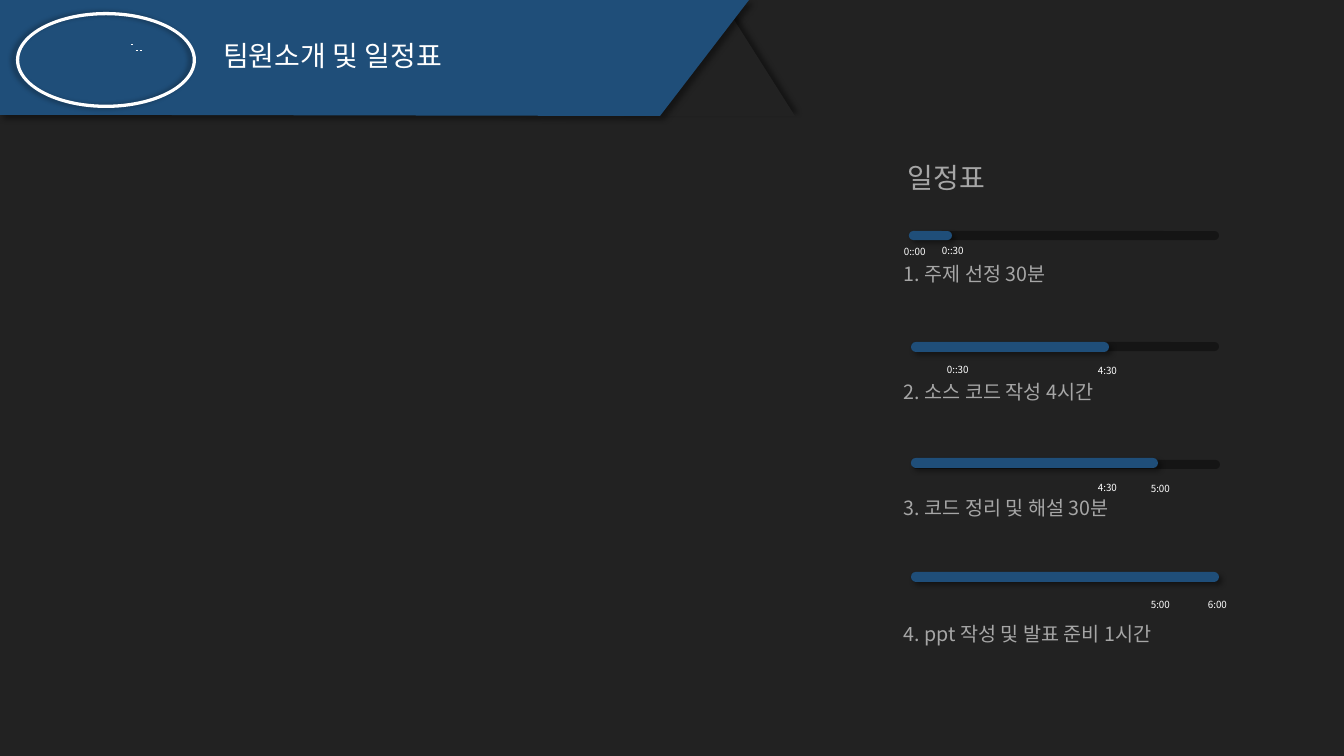
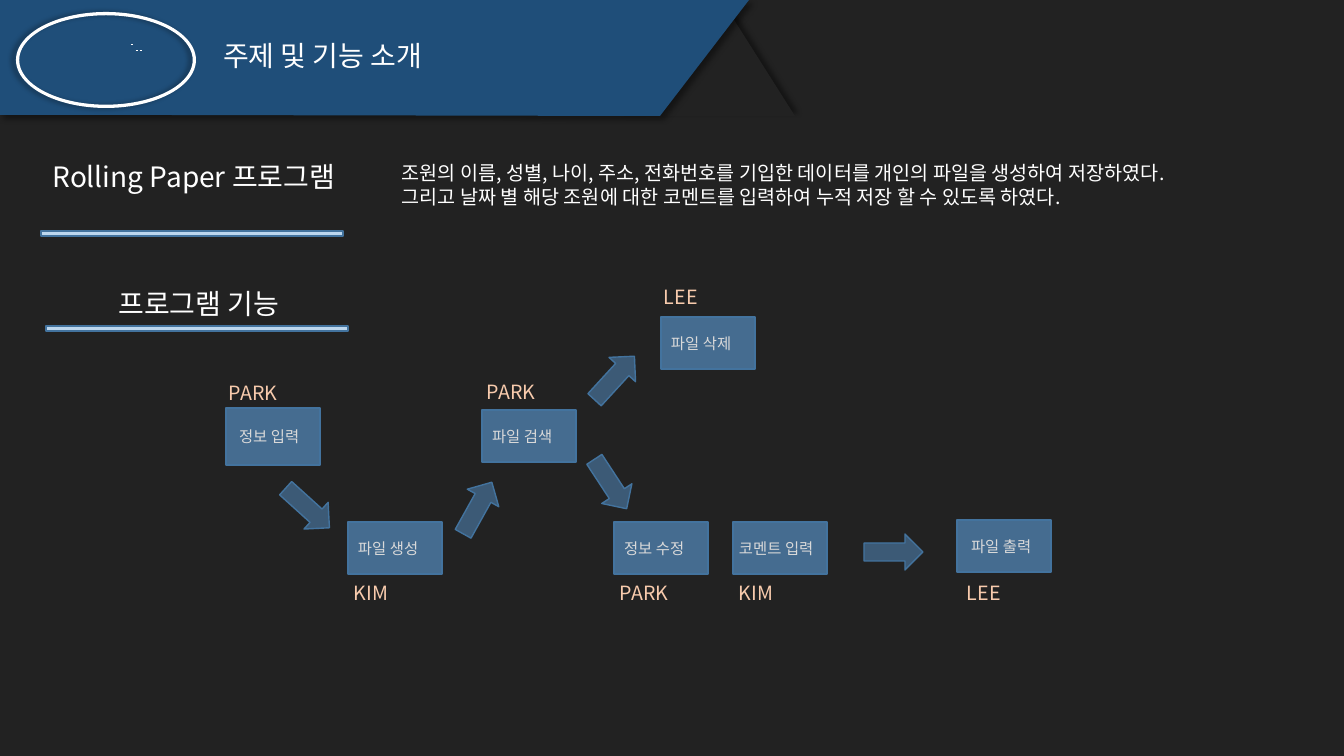
import pptx
import pptx.util
import pptx.dml.color
import pptx.enum.shapes
import pptx.enum.text
import pptx.oxml
import pptx.oxml.ns
from lxml import etree

SCALE = 914400 / 100.8
FONT = "Noto Sans CJK KR"
DARK, NAVY, TRACK, WHITE, GREY = "222222", "1F4E79", "151515", "FFFFFF", "A6A6A6"
BLUE, EDGE, PALE, PEACH, SILVER = "5B9BD5", "43739E", "BDD7EE", "F8CBAD", "D9D9D9"

SHAPE = pptx.enum.shapes.MSO_SHAPE
ANCHOR = pptx.enum.text.MSO_ANCHOR
ALIGN = pptx.enum.text.PP_ALIGN
FIT = pptx.enum.text.MSO_AUTO_SIZE
qn = pptx.oxml.ns.qn

# label, label top, track (left, top), done bar (left, top, width, height), time marks
STEPS = [
    ("1. 주제 선정 30분", 257, (911, 231), (909, 231, 43, 9),
     [(894, 241, "0::00"), (932, 240, "0::30")]),
    ("2. 소스 코드 작성 4시간", 375, (911, 342), (911, 342, 198, 10),
     [(937, 359, "0::30"), (1088, 360, "4:30")]),
    ("3. 코드 정리 및 해설 30분", 491, (912, 460), (911, 458, 247, 10),
     [(1088, 477, "4:30"), (1141, 478, "5:00")]),
    ("4. ppt 작성 및 발표 준비 1시간", 617, (911, 573), (911, 572, 308, 10),
     [(1141, 594, "5:00"), (1198, 594, "6:00")]),
]

# function, box (left, top, height), text inset, author, author (left, top)
FUNCTIONS = [
    ("정보 입력", (226, 408, 57), 13, "PARK", (219, 376)),
    ("파일 생성", (348, 522, 52), 10, "KIM", (344, 576)),
    ("파일 검색", (482, 410, 52), 10, "PARK", (477, 375)),
    ("파일 삭제", (661, 317, 52), 10, "LEE", (654, 280)),
    ("정보 수정", (614, 522, 52), 10, "PARK", (610, 576)),
    ("코멘트 입력", (733, 522, 52), 6, "KIM", (729, 576)),
    ("파일 출력", (957, 520, 52), 14, "LEE", (957, 576)),
]

# left, top, rotation
ARROWS = [(278, 490, 42.1), (448, 490, 299.1), (581, 466, 56.8),
          (864, 534, 0), (585, 360, 312.5)]


def px(n):
    return pptx.util.Emu(round(n * SCALE))


def rgb(value):
    return pptx.dml.color.RGBColor.from_string(value)


def write(tf, text, size, color, align=ALIGN.LEFT, anchor=ANCHOR.TOP, fit=FIT.NONE):
    """Fill a text frame, one paragraph for each line of text."""
    tf.word_wrap = True
    tf.auto_size = fit
    tf.vertical_anchor = anchor
    for i, line in enumerate(text.split("\n")):
        p = tf.paragraphs[0] if i == 0 else tf.add_paragraph()
        p.alignment = align
        r = p.add_run()
        r.text = line
        r.font.size = pptx.util.Pt(size)
        r.font.color.rgb = rgb(color)
        r.font.name = FONT
        etree.SubElement(r.font._element, qn("a:ea")).set("typeface", FONT)


def add_text(s, x, y, w, h, text, size, color, **fmt):
    tb = s.shapes.add_textbox(px(x), px(y), px(w), px(h))
    write(tb.text_frame, text, size, color, fit=FIT.SHAPE_TO_FIT_TEXT, **fmt)


def paint(sp, fill, line=None, alpha=None, shadow=None):
    """Set fill, outline and opacity (percent); shadow is its angle in degrees."""
    sp.fill.solid()
    sp.fill.fore_color.rgb = rgb(fill)
    if line:
        sp.line.color.rgb = rgb(line)
        sp.line.width = pptx.util.Pt(1)
    else:
        sp.line.fill.background()
    sp.shadow.inherit = False
    spPr = sp._element.spPr
    if alpha:
        clr = spPr.find(qn("a:solidFill")).find(qn("a:srgbClr"))
        etree.SubElement(clr, qn("a:alpha")).set("val", str(alpha * 1000))
    if shadow is not None:
        outer = etree.SubElement(spPr.find(qn("a:effectLst")), qn("a:outerShdw"),
                                 blurRad=str(pptx.util.Pt(4)), dist=str(pptx.util.Pt(3)),
                                 dir=str(shadow * 60000), algn="ctr", rotWithShape="0")
        clr = etree.SubElement(outer, qn("a:srgbClr"), val="000000")
        etree.SubElement(clr, qn("a:alpha"), val="40000")


def add_shape(s, kind, x, y, w, h, fill, adj=None, **look):
    sp = s.shapes.add_shape(kind, px(x), px(y), px(w), px(h))
    if adj is not None:
        sp.adjustments[0] = adj
    paint(sp, fill, **look)
    return sp


def add_slide(prs, title):
    """Slide with the shared header band, emblem ring and title."""
    s = prs.slides.add_slide(prs.slide_layouts[5])
    add_shape(s, SHAPE.ISOSCELES_TRIANGLE, 662, 11, 133, 105, DARK, shadow=315)
    band = s.shapes.build_freeform(0, 0, scale=SCALE)
    band.add_line_segments([(749, 0), (660, 116), (156, 115), (0, 115)])
    paint(band.convert_to_shape(), NAVY, shadow=45)
    for x, y in [(131, 44), (136, 50), (140, 50)]:
        add_shape(s, SHAPE.OVAL, x, y, 2, 1, WHITE)
    add_shape(s, SHAPE.DONUT, 16, 12, 180, 96, WHITE, adj=0.034, shadow=180)

    # The title goes in front of the band
    head = s.shapes.title
    head.left, head.top, head.width, head.height = px(213), px(33), px(266), px(44)
    write(head.text_frame, title, 20, WHITE)
    s.shapes.element.append(head.element)
    return s


def add_step(s, label, label_y, track, done, marks):
    add_shape(s, SHAPE.ROUNDED_RECTANGLE, *track, 308, 9, TRACK, adj=0.488)
    add_shape(s, SHAPE.ROUNDED_RECTANGLE, *done, NAVY, adj=0.488, shadow=45)
    for x, y, time in marks:
        add_text(s, x, y, 44, 22, time, 7, WHITE)
    add_text(s, 894, label_y, 316, 34, label, 14, GREY)


def add_function(s, name, box, inset, author, author_at):
    x, y, h = box
    sp = add_shape(s, SHAPE.FLOWCHART_PROCESS, x, y, 94, h, BLUE, line=EDGE, alpha=62)
    tf = sp.text_frame
    tf.margin_left, tf.margin_right = px(inset), 0
    write(tf, name, 11, SILVER, anchor=ANCHOR.MIDDLE)
    add_text(s, *author_at, 89, 34, author, 14, PEACH)


def build_schedule(prs):
    s = add_slide(prs, "팀원소개 및 일정표")
    add_text(s, 898, 156, 218, 44, "일정표", 20, GREY)
    for step in STEPS:
        add_step(s, *step)


def build_features(prs):
    s = add_slide(prs, "주제 및 기능 소개")

    # Section headings with rules
    add_text(s, 8, 155, 372, 44, "Rolling Paper 프로그램", 20, WHITE, align=ALIGN.CENTER)
    add_text(s, 16, 282, 372, 44, "프로그램 기능 ", 20, WHITE, align=ALIGN.CENTER)
    for x, y in [(41, 231), (46, 326)]:
        add_shape(s, SHAPE.RECTANGLE, x, y, 302, 5, PALE, line=EDGE)
    add_text(s, 392, 156, 898, 57,
             "조원의 이름, 성별, 나이, 주소, 전화번호를 기입한 데이터를 개인의 파일을 생성하여 저장하였다.\n"
             "그리고 날짜 별 해당 조원에 대한 코멘트를 입력하여 누적 저장 할 수 있도록 하였다.",
             14, WHITE)

    # Function flow
    for function in FUNCTIONS:
        add_function(s, *function)
    for x, y, angle in ARROWS:
        arrow = add_shape(s, SHAPE.RIGHT_ARROW, x, y, 59, 36, BLUE, line=EDGE, alpha=47)
        arrow.rotation = angle


def main():
    prs = pptx.Presentation()
    prs.slide_width, prs.slide_height = px(1344), px(756)
    fill = prs.slide_master.background.fill
    fill.solid()
    fill.fore_color.rgb = rgb(DARK)
    build_schedule(prs)
    build_features(prs)
    prs.save("out.pptx")


main()
